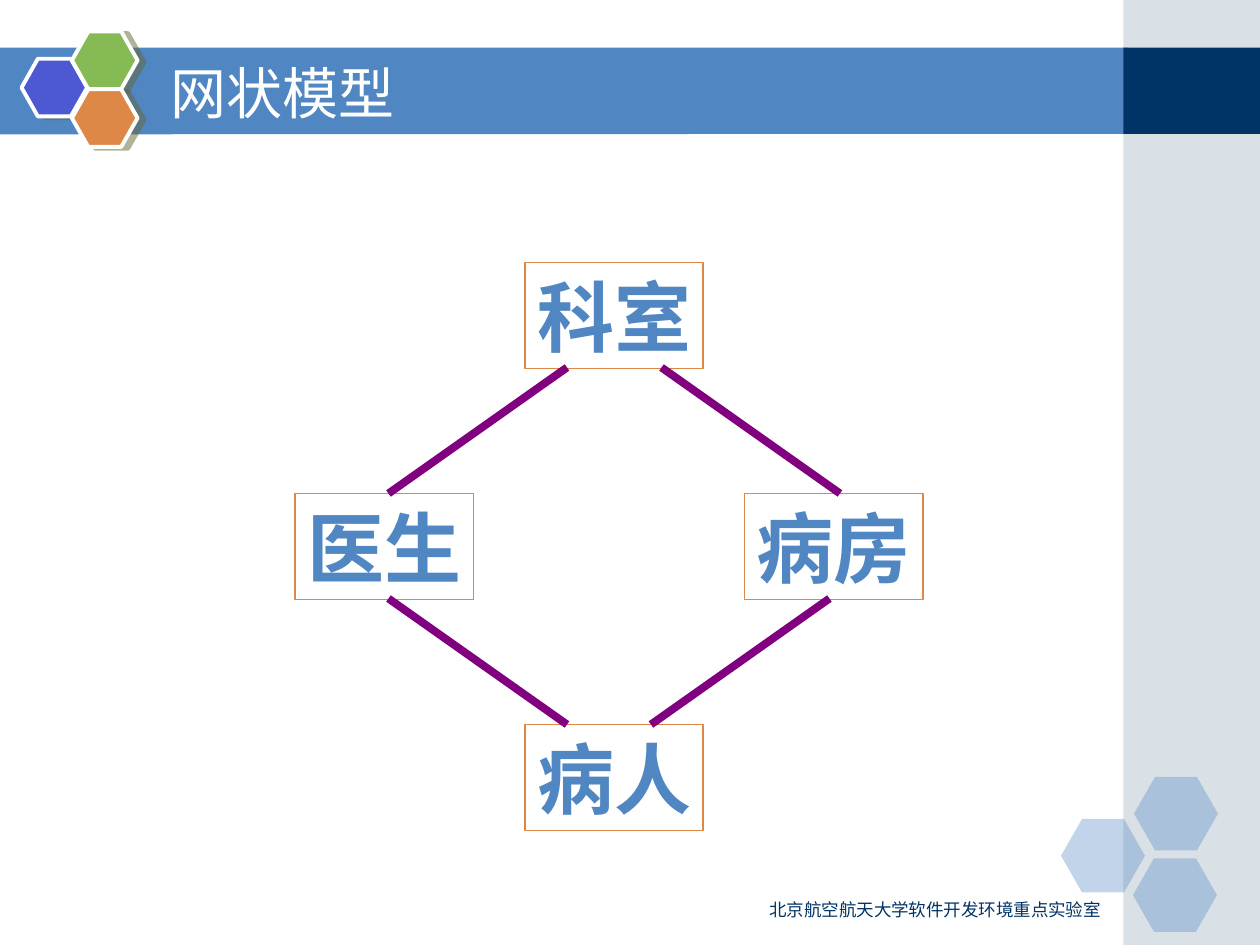
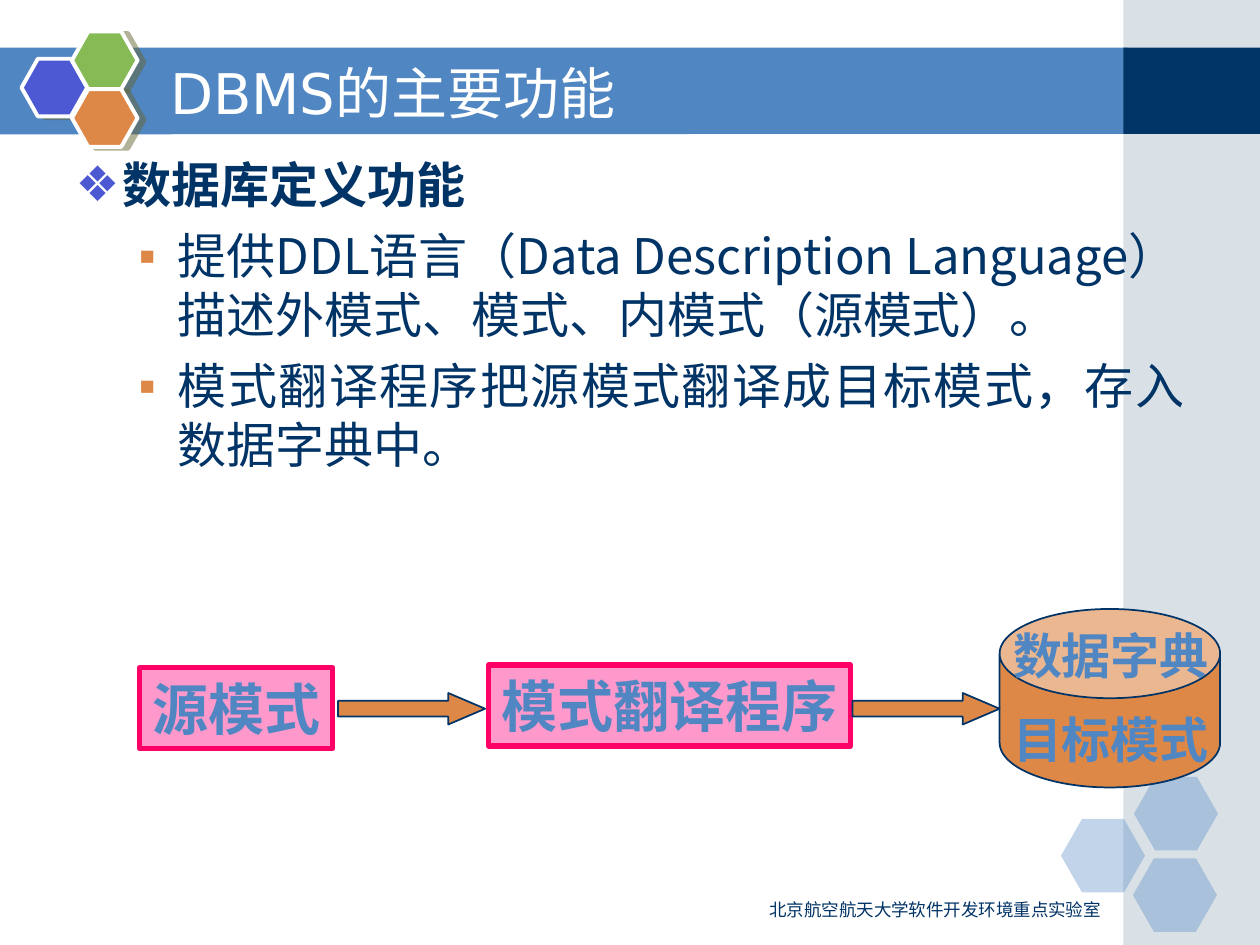
import dataclasses
import typing

import lxml.etree
import pptx
import pptx.dml.color
import pptx.enum.shapes
import pptx.enum.text
import pptx.oxml.ns
import pptx.util

RGB = pptx.dml.color.RGBColor
KIND = pptx.enum.shapes.MSO_SHAPE
ALIGN = pptx.enum.text.PP_ALIGN
ANCHOR = pptx.enum.text.MSO_ANCHOR
qn = pptx.oxml.ns.qn

# Colours and fonts
BLUE = RGB(0x50, 0x86, 0xC2)
NAVY = RGB(0x00, 0x33, 0x66)
GREY_BLUE = RGB(0xA0, 0xB5, 0xC4)
INDIGO = RGB(0x4C, 0x59, 0xD2)
GREEN = RGB(0x85, 0xBA, 0x54)
ORANGE = RGB(0xDE, 0x88, 0x48)
WHITE = RGB(0xFF, 0xFF, 0xFF)
OLIVE = RGB(0x66, 0x66, 0x33)
PURPLE = RGB(0x80, 0x00, 0x80)
PINK = RGB(0xFF, 0x99, 0xCC)
MAGENTA = RGB(0xFF, 0x00, 0x66)
HEADING_FONT, LABEL_FONT, CHINESE_FONT = "DejaVu Sans", "Arial", "Noto Sans CJK SC"

# Grid: 120 columns by 90 rows of square cells
deck = pptx.Presentation()
deck.slide_width, deck.slide_height = pptx.util.Inches(10), pptx.util.Inches(7.5)
CELL = deck.slide_width / 120


def cells(count: float) -> pptx.util.Emu:
    return pptx.util.Emu(round(count * CELL))


@dataclasses.dataclass(frozen=True)
class Area:
    left: float
    top: float
    width: float
    height: float

    def lengths(self) -> list[pptx.util.Emu]:
        return [cells(n) for n in (self.left, self.top, self.width, self.height)]


@dataclasses.dataclass(frozen=True)
class Look:
    fill: RGB | None = None
    line: RGB | None = None
    line_points: float = 1
    opacity: int = 100


@dataclasses.dataclass(frozen=True)
class Type:
    size: float
    font: str
    colour: RGB
    bold: bool = False
    align: typing.Any = ALIGN.LEFT
    before: float = 0


@dataclasses.dataclass(frozen=True)
class Bullet:
    sign: str
    colour: RGB
    level: int
    indent: float
    hang: float


def add_colour(parent: typing.Any, colour: RGB, opacity: int = 100) -> None:
    node = lxml.etree.SubElement(parent, qn("a:srgbClr"), val=str(colour))
    if opacity < 100:
        lxml.etree.SubElement(node, qn("a:alpha"), val=str(opacity * 1000))


def paint(shape: typing.Any, look: Look) -> None:
    shape.shadow.inherit = False
    if look.fill is None:
        shape.fill.background()
    else:
        shape.fill.solid()
        shape.fill.fore_color.rgb = look.fill
        if look.opacity < 100:
            fill = shape.element.spPr.find(qn("a:solidFill"))
            fill.clear()
            add_colour(fill, look.fill, look.opacity)
    if look.line is None:
        shape.line.fill.background()
    else:
        shape.line.color.rgb = look.line
        shape.line.width = pptx.util.Pt(look.line_points)


def draw(page: typing.Any, kind: typing.Any, area: Area, look: Look,
         adjustments: tuple[float, ...] = ()) -> typing.Any:
    shape = page.shapes.add_shape(kind, *area.lengths())
    for index, value in enumerate(adjustments):
        shape.adjustments[index] = value
    paint(shape, look)
    return shape


def set_type(para: typing.Any, style: Type) -> None:
    para.alignment = style.align
    para.space_before = pptx.util.Pt(style.before)
    font = para.font
    font.size, font.bold = pptx.util.Pt(style.size), style.bold
    font.color.rgb = style.colour
    font.name = style.font
    defaults = para._p.get_or_add_pPr().find(qn("a:defRPr"))
    lxml.etree.SubElement(defaults, qn("a:ea"), typeface=CHINESE_FONT)


def set_bullet(para: typing.Any, bullet: Bullet) -> None:
    para.level = bullet.level
    props = para._p.get_or_add_pPr()
    props.set("marL", str(cells(bullet.indent)))
    props.set("indent", str(-cells(bullet.hang)))
    add_colour(lxml.etree.SubElement(props, qn("a:buClr")), bullet.colour)
    lxml.etree.SubElement(props, qn("a:buChar"), char=bullet.sign)


def write(shape: typing.Any, lines: list[str], style: Type,
          anchor: typing.Any = ANCHOR.MIDDLE, wrap: bool = False) -> None:
    frame = shape.text_frame
    frame.auto_size = pptx.enum.text.MSO_AUTO_SIZE.NONE
    frame.word_wrap, frame.vertical_anchor = wrap, anchor
    frame.text = "\n".join(lines)
    for para in frame.paragraphs:
        set_type(para, style)


def place(holder: typing.Any, area: Area) -> None:
    """Position a placeholder and bring it in front of the frame."""
    holder.left, holder.top, holder.width, holder.height = area.lengths()
    holder.element.getparent().append(holder.element)


# What the slides share
TITLE = Type(32, HEADING_FONT, WHITE)
FOOTER = Type(10, HEADING_FONT, NAVY, align=ALIGN.RIGHT)
BAND = [(-0.1, 4.55), (107.4, 4.55), (107.4, 12.75), (-0.1, 12.8)]
CORNER_HEXAGONS = [(101.05, 78), (108, 74), (107.9, 81.75)]
BADGE_HEXAGONS = [(2.05, 5.6, INDIGO), (6.85, 3, GREEN), (6.85, 8.5, ORANGE)]


def add_badge_shadow(shape: typing.Any) -> None:
    effects = shape.element.spPr.find(qn("a:effectLst"))
    shadow = lxml.etree.SubElement(
        effects, qn("a:outerShdw"), blurRad="0", dist=str(pptx.util.Pt(4.1)),
        dir=str(14 * 60000), algn="ctr", rotWithShape="0")
    add_colour(shadow, OLIVE, 50)


def start_page(layout: int, title: str) -> typing.Any:
    page = deck.slides.add_slide(deck.slide_layouts[layout])

    # Title band and side column
    corners = [(cells(x), cells(y)) for x, y in BAND]
    outline = page.shapes.build_freeform(*corners[0])
    outline.add_line_segments(corners[1:], close=True)
    paint(outline.convert_to_shape(), Look(BLUE))
    draw(page, KIND.RECTANGLE, Area(107, 0, 13, 90), Look(GREY_BLUE, opacity=40))
    draw(page, KIND.RECTANGLE, Area(107, 4.55, 13, 8.2), Look(NAVY))

    # Hexagons in the corner and on the band
    for left, top in CORNER_HEXAGONS:
        draw(page, KIND.HEXAGON, Area(left, top, 8, 7), Look(BLUE, opacity=35), (0.286,))
    for left, top, colour in BADGE_HEXAGONS:
        add_badge_shadow(draw(page, KIND.HEXAGON, Area(left, top, 6.25, 5.5),
                              Look(colour, WHITE, 2.25), (0.283,)))

    # Title and footer
    place(page.shapes.title, Area(15, 5, 88, 7.5))
    write(page.shapes.title, [title], TITLE, wrap=True)
    footer = page.shapes.add_textbox(*Area(68, 85, 38, 3.1).lengths())
    write(footer, ["北京航空航天大学软件开发环境重点实验室"], FOOTER, ANCHOR.TOP, wrap=True)
    return page


# Slide 1: network model
page = start_page(5, "网状模型")
NODE = Type(44, LABEL_FONT, BLUE, True, ALIGN.CENTER)
NODES = [("科室", 50, 25), ("医生", 28.1, 47), ("病房", 70.9, 47), ("病人", 50, 69)]
LINKS = [(54, 35, 37, 47), (63, 35, 80, 47), (37, 57, 54, 69), (79, 57, 62, 69)]
for name, left, top in NODES:
    write(draw(page, KIND.RECTANGLE, Area(left, top, 17, 10.1), Look(line=ORANGE)),
          [name], NODE)
for ends in LINKS:
    link = page.shapes.add_connector(pptx.enum.shapes.MSO_CONNECTOR.STRAIGHT,
                                     *[cells(n) for n in ends])
    link.line.color.rgb, link.line.width = PURPLE, pptx.util.Pt(4.5)
    lxml.etree.SubElement(link.element.spPr, qn("a:effectLst"))

# Slide 2: main functions of a DBMS
page = start_page(1, "DBMS的主要功能")
HEAD = Bullet("❖", INDIGO, 0, 4.5, 4.5)
ITEM = Bullet("▪", ORANGE, 1, 9.75, 3.75)
POINTS = [
    ("数据库定义功能", HEAD, ALIGN.LEFT),
    ("提供DDL语言（Data Description Language）描述外模式、模式、内模式（源模式）。",
     ITEM, ALIGN.LEFT),
    ("模式翻译程序把源模式翻译成目标模式，存入数据字典中。", ITEM, ALIGN.JUSTIFY),
]
body = page.placeholders[1]
place(body, Area(6, 14.15, 108, 68.9))
body.text_frame.auto_size = pptx.enum.text.MSO_AUTO_SIZE.NONE
body.text_frame.text = "\n".join(text for text, _, _ in POINTS)
for para, (_, bullet, align) in zip(body.text_frame.paragraphs, POINTS):
    set_bullet(para, bullet)
    set_type(para, Type(28, CHINESE_FONT, NAVY, bullet is HEAD, align, 7))

# Flow from source schema to data dictionary
STEP = Type(32, LABEL_FONT, BLUE, True, ALIGN.CENTER)
STORE = Type(28, LABEL_FONT, BLUE, True, ALIGN.CENTER, 14)
STEPS = [("源模式", Area(13.3, 63.6, 18.4, 7.7)),
         ("模式翻译程序", Area(46.55, 63.35, 34.45, 7.7))]
for name, area in STEPS:
    write(draw(page, KIND.RECTANGLE, area, Look(PINK, MAGENTA, 3)), [name], STEP)
draw(page, KIND.CAN, Area(95.2, 58, 21, 17), Look(ORANGE, NAVY), (0.5,))
label = page.shapes.add_textbox(*Area(95.3, 59, 21, 14.75).lengths())
write(label, ["数据字典", "目标模式"], STORE)
for left in (32.2, 81.2):
    draw(page, KIND.RIGHT_ARROW, Area(left, 66, 14, 3), Look(ORANGE, NAVY), (0.5, 1.17))

deck.save("out.pptx")
